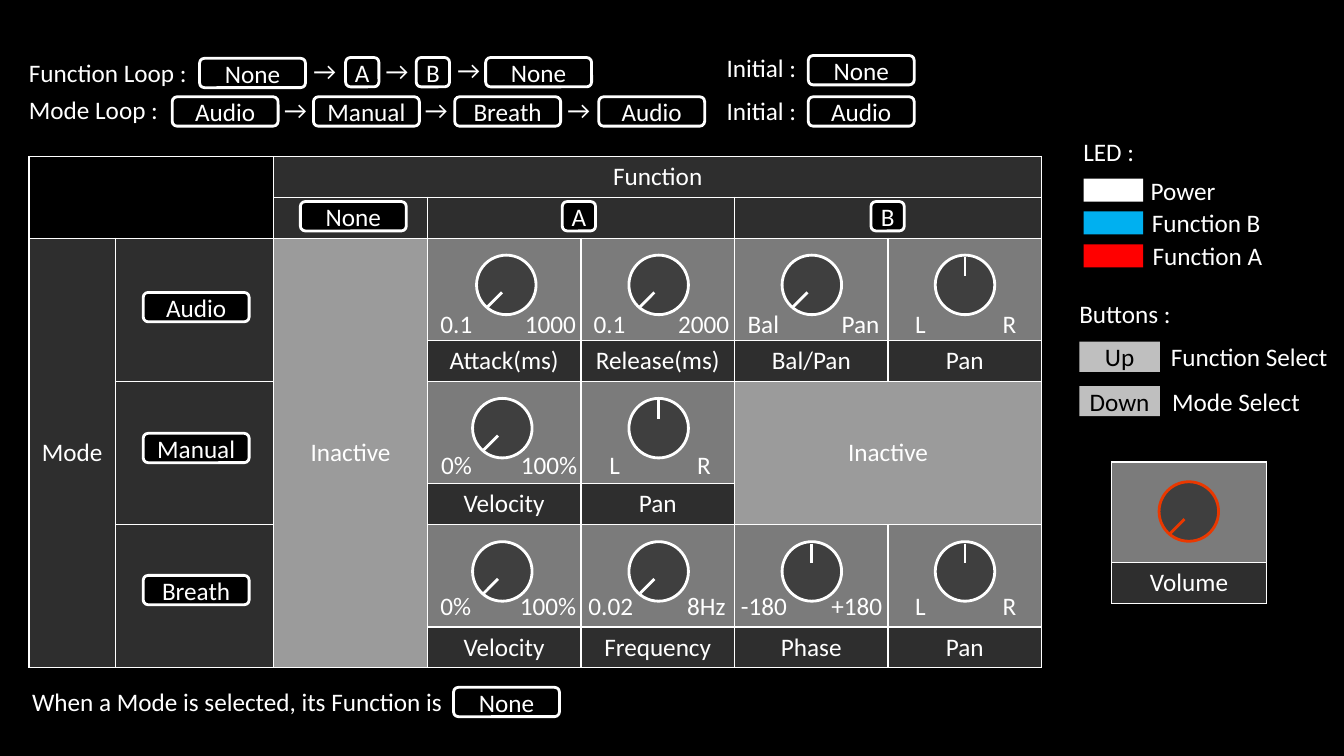
from lxml import etree
from pptx import Presentation
from pptx.dml.color import RGBColor
from pptx.enum.shapes import MSO_CONNECTOR, MSO_SHAPE
from pptx.enum.text import MSO_ANCHOR, PP_ALIGN
from pptx.oxml import parse_xml
from pptx.oxml.ns import nsdecls, qn
from pptx.util import Cm, Pt

BLACK = RGBColor(0x00, 0x00, 0x00)
WHITE = RGBColor(0xFF, 0xFF, 0xFF)
DARK = RGBColor(0x2E, 0x2E, 0x2E)
DIAL = RGBColor(0x3F, 0x3F, 0x3F)
MID = RGBColor(0x7B, 0x7B, 0x7B)
PALE = RGBColor(0x9B, 0x9B, 0x9B)
SILVER = RGBColor(0xBF, 0xBF, 0xBF)
BLUE = RGBColor(0x00, 0xB0, 0xF0)
RED = RGBColor(0xFF, 0x00, 0x00)
ORANGE = RGBColor(0xEA, 0x38, 0x00)
FONT = {"name": "Calibri", "size": Pt(18)}

deck = Presentation()
deck.slide_width, deck.slide_height = Cm(33.87), Cm(19.05)
slide = deck.slides.add_slide(deck.slide_layouts[6])
slide.background.fill.solid()
slide.background.fill.fore_color.rgb = BLACK
shapes = slide.shapes


def write(frame, words, ink=WHITE, align=PP_ALIGN.CENTER):
    para = frame.paragraphs[0]
    para.alignment = align
    run = para.add_run()
    run.text = words
    for key, value in FONT.items():
        setattr(run.font, key, value)
    run.font.color.rgb = ink


def draw(kind, x, y, w, h, fill, edge=None, words="", ink=WHITE):
    """Add a filled preset shape, outlined if edge is a colour."""
    shape = shapes.add_shape(kind, Cm(x), Cm(y), Cm(w), Cm(h))
    shape.shadow.inherit = False
    shape.fill.solid()
    shape.fill.fore_color.rgb = fill
    if edge is None:
        shape.line.fill.background()
    else:
        shape.line.color.rgb = edge
        shape.line.width = Pt(2)
    if words:
        frame = shape.text_frame
        frame.margin_left = frame.margin_right = 0
        frame.vertical_anchor = MSO_ANCHOR.MIDDLE
        write(frame, words, ink)


# Tables: place, column widths, row heights, merged ranges, words, fills
LOW, TALL = 1.03, 2.58
merges = [
    (0, 0, 1, 1), (0, 2, 0, 6), (1, 3, 1, 4), (1, 5, 1, 6), (2, 0, 7, 0),
    (2, 1, 3, 1), (4, 1, 5, 1), (6, 1, 7, 1), (2, 2, 7, 2), (4, 5, 5, 6),
]
names = {(0, 2): "Function", (2, 0): "Mode", (2, 2): "Inactive", (4, 5): "Inactive"}
for row, labels in [
    (3, ["Attack(ms)", "Release(ms)", "Bal/Pan", "Pan"]),
    (5, ["Velocity", "Pan"]),
    (7, ["Velocity", "Frequency", "Phase", "Pan"]),
]:
    for col, label in enumerate(labels, 3):
        names[row, col] = label
fills = {(row, col): MID for row in (2, 4, 6) for col in range(3, 7)}
fills.update({(0, 0): BLACK, (2, 2): PALE, (4, 5): PALE})

for x, y, cols, rows, joins, texts, tints in [
    (0.73, 3.94, [2.18, 3.99] + [3.87] * 5, [LOW, LOW] + [TALL, LOW] * 3, merges, names, fills),
    (28.02, 11.64, [3.89], [2.53, LOW], [], {(1, 0): "Volume"}, {(0, 0): MID}),
]:
    table = shapes.add_table(
        len(rows), len(cols), Cm(x), Cm(y), Cm(sum(cols)), Cm(sum(rows))
    ).table
    table.first_row = table.horz_banding = False
    for col, width in enumerate(cols):
        table.columns[col].width = Cm(width)
    for row, height in enumerate(rows):
        table.rows[row].height = Cm(height)
        for col in range(len(cols)):
            cell = table.cell(row, col)
            props = cell._tc.get_or_add_tcPr()
            for side in "LRTB":
                props.append(parse_xml(
                    f'<a:ln{side} {nsdecls("a")} w="12700"><a:solidFill>'
                    f'<a:srgbClr val="{WHITE}"/></a:solidFill></a:ln{side}>'
                ))
            cell.fill.solid()
            cell.fill.fore_color.rgb = tints.get((row, col), DARK)
            cell.vertical_anchor = MSO_ANCHOR.MIDDLE
            if (row, col) in texts:
                write(cell.text_frame, texts[row, col])
    for top, left, end, right in joins:
        table.cell(top, left).merge(table.cell(end, right))

# Name badges
for words, x, y in [
    ("None", 5.03, 1.47), ("A", 8.71, 1.45), ("B", 10.49, 1.45), ("None", 12.24, 1.45),
    ("Audio", 4.34, 2.44), ("Manual", 7.9, 2.44), ("Breath", 11.46, 2.44), ("Audio", 15.09, 2.44),
    ("None", 20.37, 1.4), ("Audio", 20.37, 2.44),
    ("None", 7.57, 5.08), ("A", 14.17, 5.08), ("B", 21.95, 5.08),
    ("Audio", 3.61, 7.37), ("Manual", 3.61, 10.92), ("Breath", 3.61, 14.5),
    ("None", 11.43, 17.32),
]:
    width = 0.84 if len(words) == 1 else 2.67
    draw(MSO_SHAPE.ROUNDED_RECTANGLE, x, y, width, 0.74, BLACK, WHITE, words)

# LED colours and buttons
for step, tint in enumerate([WHITE, BLUE, RED]):
    draw(MSO_SHAPE.RECTANGLE, 27.31, 4.5 + 0.83 * step, 1.5, 0.58, tint)
for step, words in enumerate(["Up", "Down"]):
    draw(MSO_SHAPE.RECTANGLE, 27.2, 8.61 + 1.12 * step, 2.03, 0.76, SILVER, None, words, BLACK)

notes = [
    ("Function Loop :", 0.48, 1.32, 4.55), ("Mode Loop :", 0.48, 2.24, 3.81),
    ("Initial :", 18.06, 1.19, 2.29), ("Initial :", 18.06, 2.29, 2.29),
    ("When a Mode is selected, its Function is", 0.56, 17.17, 11.46),
    ("LED :", 27.05, 3.3, 1.8), ("Power", 28.75, 4.29, 2.16),
    ("Function B", 28.78, 5.11, 3.28), ("Function A", 28.8, 5.94, 3.3),
    ("Buttons :", 26.95, 7.39, 2.87),
    ("Function Select", 29.26, 8.48, 4.5), ("Mode Select", 29.29, 9.6, 3.78),
]
for x, y in [
    (7.65, 1.27), (9.47, 1.27), (11.28, 1.24),
    (6.91, 2.26), (10.46, 2.24), (14.05, 2.26),
]:
    notes.append(("→", x, y, 1.09))

# Knobs: left edge, row, upright hand, then word, left and width of each end
knobs = [(28.02 + 1.19, 12.14, False, ORANGE)]
for x, row, upright, *ends in [
    (12.01, 0, False, ("0.1", 10.85, 1.32), ("1000", 12.98, 1.8)),
    (15.85, 0, False, ("0.1", 14.71, 1.32), ("2000", 16.84, 1.8)),
    (19.71, 0, False, ("Bal", 18.59, 1.32), ("Pan", 20.96, 1.47)),
    (23.57, 0, True, ("L", 22.81, 0.79), ("R", 25.02, 0.86)),
    (11.91, 1, False, ("0%", 10.87, 1.3), ("100%", 12.88, 1.96)),
    (15.85, 1, True, ("L", 15.11, 0.79), ("R", 17.32, 0.86)),
    (11.91, 2, False, ("0%", 10.85, 1.3), ("100%", 12.85, 1.96)),
    (15.85, 2, False, ("0.02", 14.58, 1.65), ("8Hz", 17.07, 1.5)),
    (19.71, 2, True, ("-180", 18.42, 1.68), ("+180", 20.7, 1.8)),
    (23.57, 2, True, ("L", 22.81, 0.79), ("R", 25.02, 0.86)),
]:
    knobs.append((x, 6.43 + 3.61 * row, upright, WHITE))
    for words, left, width in ends:
        notes.append((words, left, 7.64 + 3.56 * row, width))

for x, y, upright, ink in knobs:
    draw(MSO_SHAPE.OVAL, x, y, 1.5, 1.5, DIAL, ink)
    x1, y1, x2, y2 = (0.75, 0.05, 0.75, 0.53) if upright else (0.28, 1.3, 0.64, 0.94)
    hand = shapes.add_connector(
        MSO_CONNECTOR.STRAIGHT, Cm(x + x1), Cm(y + y1), Cm(x + x2), Cm(y + y2)
    )
    hand.line.color.rgb = ink
    hand.line.width = Pt(2)
    etree.SubElement(hand._element.spPr, qn("a:effectLst"))

for words, x, y, width in notes:
    frame = shapes.add_textbox(Cm(x), Cm(y), Cm(width), Cm(1.03)).text_frame
    frame.word_wrap = False
    write(frame, words, align=PP_ALIGN.LEFT)

deck.save("out.pptx")
